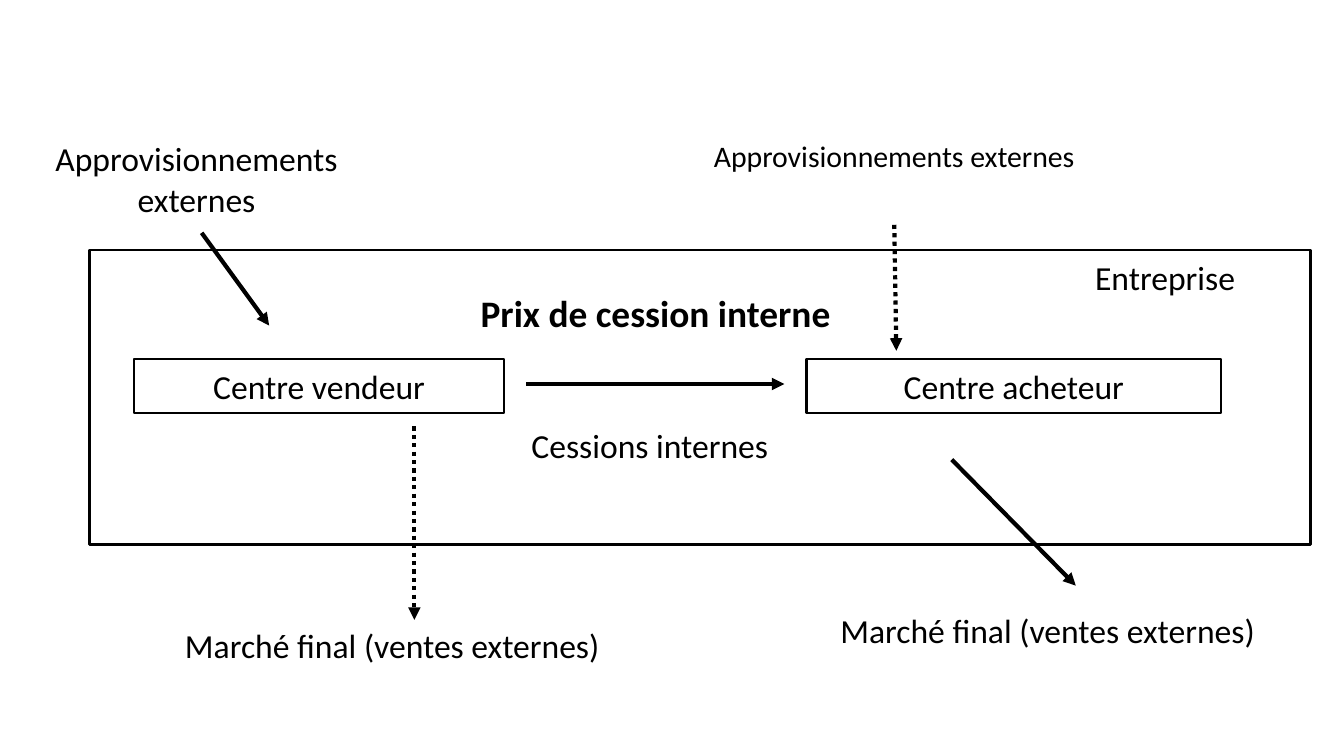
from pptx import Presentation
from pptx.dml.color import RGBColor
from pptx.enum.dml import MSO_LINE
from pptx.enum.shapes import MSO_CONNECTOR, MSO_SHAPE
from pptx.enum.text import PP_ALIGN
from pptx.oxml.ns import qn
from pptx.util import Inches, Pt
from lxml.etree import SubElement

INK = "000000"
MARKET = "Marché final (ventes externes)"
SUPPLY = "Approvisionnements externes"


def color(value):
    return RGBColor.from_string(value)


def set_line(line, width):
    line.color.rgb = color(INK)
    line.width = Pt(width)


def write(sp, text, size=24, bold=False):
    tf = sp.text_frame
    frame = {
        "word_wrap": True,
        "margin_left": Inches(0.13),
        "margin_right": Inches(0.13),
        "margin_top": Inches(0.07),
        "margin_bottom": Inches(0.07),
    }
    for name, value in frame.items():
        setattr(tf, name, value)
    p = tf.paragraphs[0]
    p.alignment = PP_ALIGN.CENTER
    r = p.add_run()
    r.text = text
    for name, value in {"name": "Calibri", "size": Pt(size), "bold": bold}.items():
        setattr(r.font, name, value)
    r.font.color.rgb = color(INK)


def add_label(s, box, text, **style):
    sp = s.shapes.add_textbox(*map(Inches, box))
    write(sp, text, **style)


def add_frame(s, box, width, text=None):
    sp = s.shapes.add_shape(MSO_SHAPE.RECTANGLE, *map(Inches, box))
    sp.shadow.inherit = False
    sp.fill.background()
    set_line(sp.line, width)
    if text:
        write(sp, text)


def add_arrow(s, start, end, dotted=False):
    points = map(Inches, (*start, *end))
    sp = s.shapes.add_connector(MSO_CONNECTOR.STRAIGHT, *points)
    set_line(sp.line, 3)
    if dotted:
        sp.line.dash_style = MSO_LINE.ROUND_DOT
    SubElement(sp.line._get_or_add_ln(), qn("a:tailEnd"), type="triangle")
    SubElement(sp._element.spPr, qn("a:effectLst"))


def main():
    prs = Presentation()
    prs.slide_width = Inches(13.33)
    prs.slide_height = Inches(7.5)
    s = prs.slides.add_slide(prs.slide_layouts[6])

    add_frame(s, (0.89, 2.48, 12.11, 2.92), 2)
    add_frame(s, (1.33, 3.56, 3.67, 0.54), 1.75, "Centre vendeur")
    add_frame(s, (8, 3.56, 4.11, 0.54), 1.75, "Centre acheteur")

    add_label(s, (0, 1.3, 3.9, 0.95), SUPPLY)
    add_label(s, (6.87, 1.3, 4, 0.5), SUPPLY, size=21.3)
    add_label(s, (10.11, 2.48, 2.89, 0.54), "Entreprise")
    add_label(s, (3.67, 2.81, 5.67, 0.59), "Prix de cession interne", size=26.7, bold=True)
    add_label(s, (4.78, 4.15, 3.33, 0.54), "Cessions internes")
    add_label(s, (1.33, 6.13, 5.12, 0.54), MARKET)
    add_label(s, (8, 5.98, 4.78, 0.54), MARKET)

    add_arrow(s, (2, 2.31), (2.67, 3.23))
    add_arrow(s, (5.22, 3.81), (7.78, 3.81))
    add_arrow(s, (9.44, 4.56), (10.67, 5.81))
    add_arrow(s, (4.11, 4.23), (4.11, 6.15), dotted=True)
    add_arrow(s, (8.87, 2.23), (8.89, 3.48), dotted=True)

    prs.save("out.pptx")


if __name__ == "__main__":
    main()
